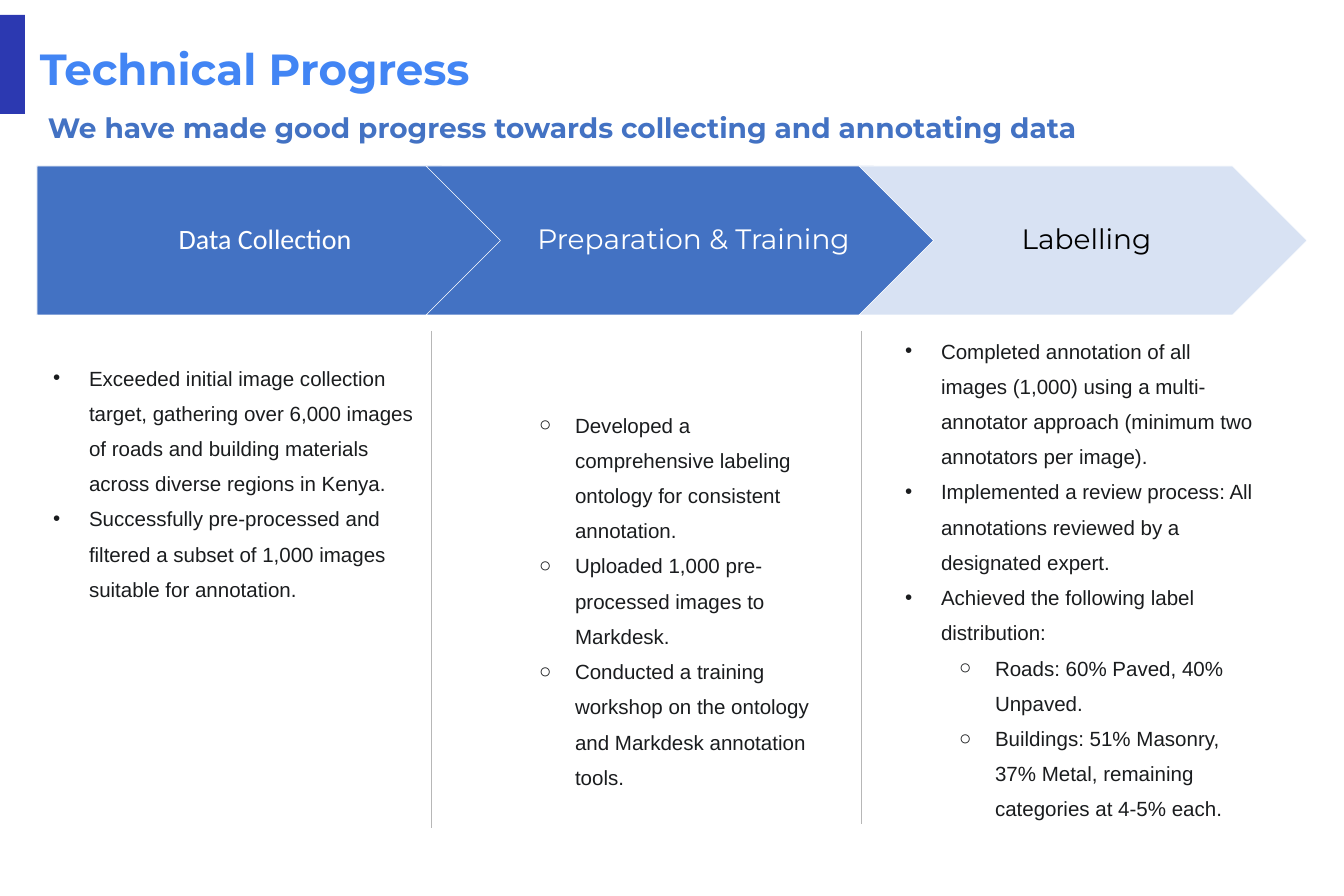
from lxml import etree
from pptx import Presentation
from pptx.dml.color import RGBColor
from pptx.enum.shapes import MSO_CONNECTOR, MSO_SHAPE
from pptx.enum.text import MSO_ANCHOR, PP_ALIGN
from pptx.oxml.ns import qn
from pptx.util import Pt

RECTANGLE, PENTAGON, CHEVRON = MSO_SHAPE.RECTANGLE, MSO_SHAPE.PENTAGON, MSO_SHAPE.CHEVRON
STRAIGHT = MSO_CONNECTOR.STRAIGHT
TOP, MIDDLE, BOTTOM = MSO_ANCHOR.TOP, MSO_ANCHOR.MIDDLE, MSO_ANCHOR.BOTTOM
LEFT, CENTER = PP_ALIGN.LEFT, PP_ALIGN.CENTER

EMU_PER_PX = 914400 / 44.8
SLIDE_WIDTH, SLIDE_HEIGHT = 1344, 896
COLORS = {
    "bar": "2C39B1", "title": "4285F4", "blue": "4372C3", "pale": "D8E2F3",
    "white": "FFFFFF", "black": "000000", "body": "1A1C1E", "divider": "B7B7B7",
}
BULLETS = ["•", "○"]
BULLET_INDENT, LEVEL_STEP = 36, 54


def px(length):
    return round(length * EMU_PER_PX)


def color(name):
    return RGBColor.from_string(COLORS[name])


class SlideBuilder:
    def __init__(self, slide):
        self.slide = slide

    def shape(self, kind, left, top, width, height, fill, line=None):
        shape = self.slide.shapes.add_shape(kind, px(left), px(top), px(width), px(height))
        shape.shadow.inherit = False
        shape.fill.solid()
        shape.fill.fore_color.rgb = color(fill)
        if line:
            shape.line.color.rgb = color(line)
            shape.line.width = Pt(1)
        else:
            shape.line.fill.background()

    def text_frame(self, left, top, width, height, anchor, insets):
        box = self.slide.shapes.add_textbox(px(left), px(top), px(width), px(height))
        frame = box.text_frame
        frame.word_wrap = True
        frame.vertical_anchor = anchor
        frame.margin_left, frame.margin_top, frame.margin_right, frame.margin_bottom = map(px, insets)
        return frame

    def style(self, paragraph, font, size, ink, bold=False):
        for run in paragraph.runs:
            run.font.name = font
            run.font.size = Pt(size)
            run.font.bold = bold
            run.font.color.rgb = color(ink)

    def text(self, text, left, top, width, height, size, ink, font="Montserrat", bold=False,
             align=LEFT, anchor=MIDDLE, insets=(3, 3, 3, 3), spacing=0.9):
        frame = self.text_frame(left, top, width, height, anchor, insets)
        frame.text = text
        paragraph = frame.paragraphs[0]
        paragraph.alignment = align
        paragraph.line_spacing = spacing
        self.style(paragraph, font, size, ink, bold)

    def bullet_list(self, items, left, top, width, height):
        frame = self.text_frame(left, top, width, height, TOP, (11, 5, 11, 5))
        for index, (level, text) in enumerate(items):
            paragraph = frame.add_paragraph() if index else frame.paragraphs[0]
            paragraph.text = text
            paragraph.level = level
            paragraph.line_spacing = 1.43
            self.bullet(paragraph, level)
            self.style(paragraph, "Arial", 33, "body")

    def bullet(self, paragraph, level):
        properties = paragraph._p.get_or_add_pPr()
        properties.set("marL", str(px(LEVEL_STEP * (level + 1))))
        properties.set("indent", str(-px(BULLET_INDENT)))
        bullet_color = etree.SubElement(properties, qn("a:buClr"))
        etree.SubElement(bullet_color, qn("a:srgbClr"), val=COLORS["body"])
        etree.SubElement(properties, qn("a:buFont"), typeface="Arial")
        etree.SubElement(properties, qn("a:buChar"), char=BULLETS[level])

    def divider(self, x, top, bottom):
        line = self.slide.shapes.add_connector(STRAIGHT, px(x), px(top), px(x), px(bottom))
        line.line.color.rgb = color("divider")
        line.line.width = Pt(0.75)
        etree.SubElement(line._element.spPr, qn("a:effectLst"))


def main():
    presentation = Presentation()
    presentation.slide_width = px(SLIDE_WIDTH)
    presentation.slide_height = px(SLIDE_HEIGHT)
    builder = SlideBuilder(presentation.slides.add_slide(presentation.slide_layouts[6]))

    # Heading
    builder.shape(RECTANGLE, 0, 15, 25, 99, "bar")
    builder.text("Technical Progress", 37, 30, 1270, 77, 70, "title", bold=True, spacing=1)
    builder.text("We have made good progress towards collecting and annotating data",
                 37, 81, 1077, 69, 45, "blue", bold=True, anchor=BOTTOM, insets=(11, 5, 11, 5))

    # Process arrows: kind, left, width, fill, label, label left, label width, left inset, ink, font
    stages = [
        (PENTAGON, 37, 479, "blue", "Data Collection", 37, 448, 11, "white", "Calibri"),
        (CHEVRON, 426, 522, "blue", "Preparation & Training", 489, 396, 16, "white", "Montserrat"),
        (CHEVRON, 859, 448, "pale", "Labelling", 922, 323, 9, "black", "Montserrat"),
    ]
    arrow_top, arrow_height = 166, 149
    for kind, left, width, fill, label, label_left, label_width, inset, ink, font in stages:
        builder.shape(kind, left, arrow_top, width, arrow_height, fill, "white")
        builder.text(label, label_left, arrow_top, label_width, arrow_height, 45, ink, font,
                     align=CENTER, insets=(inset, 6, 3, 6))

    # Column dividers
    builder.divider(431, 331, 828)
    builder.divider(861, 331, 824)

    # Details under each stage: (level, text)
    builder.bullet_list([
        (0, "Exceeded initial image collection target, gathering over 6,000 images of roads "
            "and building materials across diverse regions in Kenya."),
        (0, "Successfully pre-processed and filtered a subset of 1,000 images suitable for annotation."),
    ], 24, 350, 408, 300)
    builder.bullet_list([
        (1, "Developed a comprehensive labeling ontology for consistent annotation."),
        (1, "Uploaded 1,000 pre-processed images to Markdesk."),
        (1, "Conducted a training workshop on the ontology and Markdesk annotation tools."),
    ], 456, 397, 381, 396)
    builder.bullet_list([
        (0, "Completed annotation of all images (1,000) using a multi-annotator approach "
            "(minimum two annotators per image)."),
        (0, "Implemented a review process: All annotations reviewed by a designated expert."),
        (0, "Achieved the following label distribution:"),
        (1, "Roads: 60% Paved, 40% Unpaved."),
        (1, "Buildings: 51% Masonry, 37% Metal, remaining categories at 4-5% each."),
    ], 876, 323, 395, 534)

    presentation.save("out.pptx")


if __name__ == "__main__":
    main()
